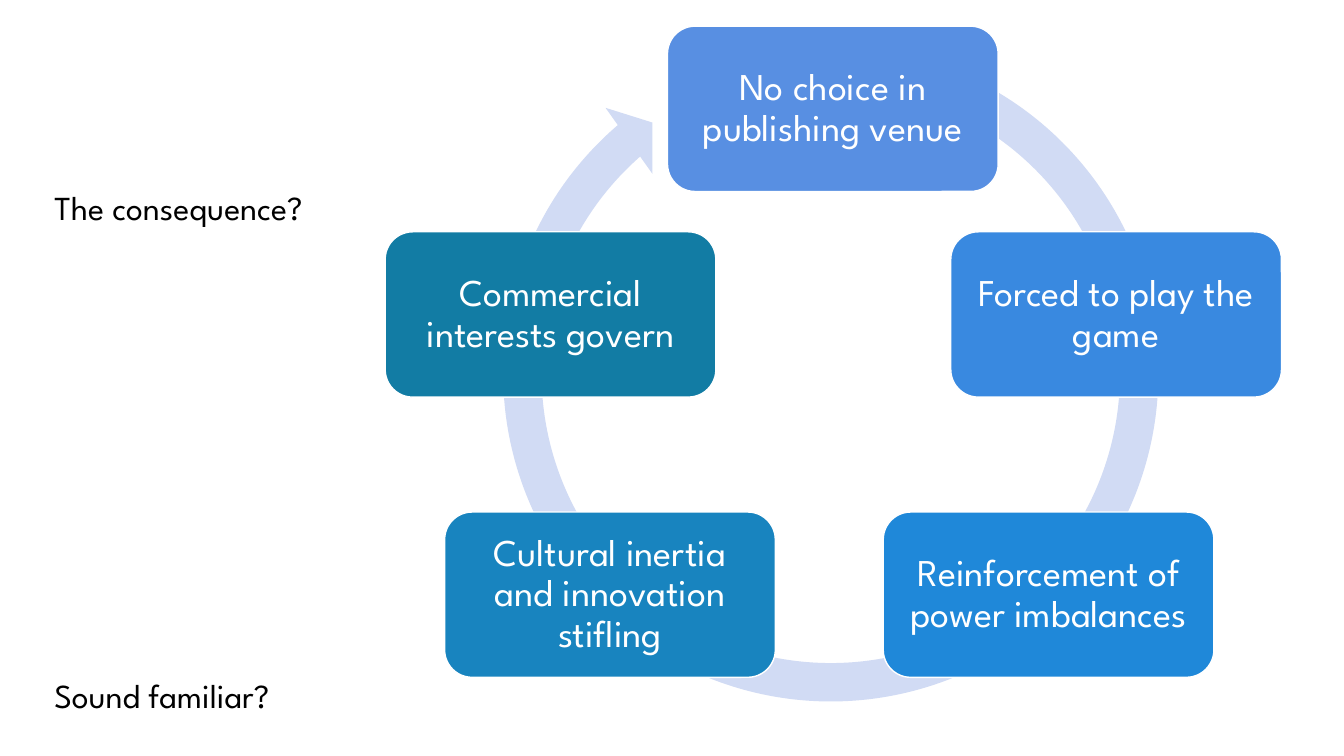
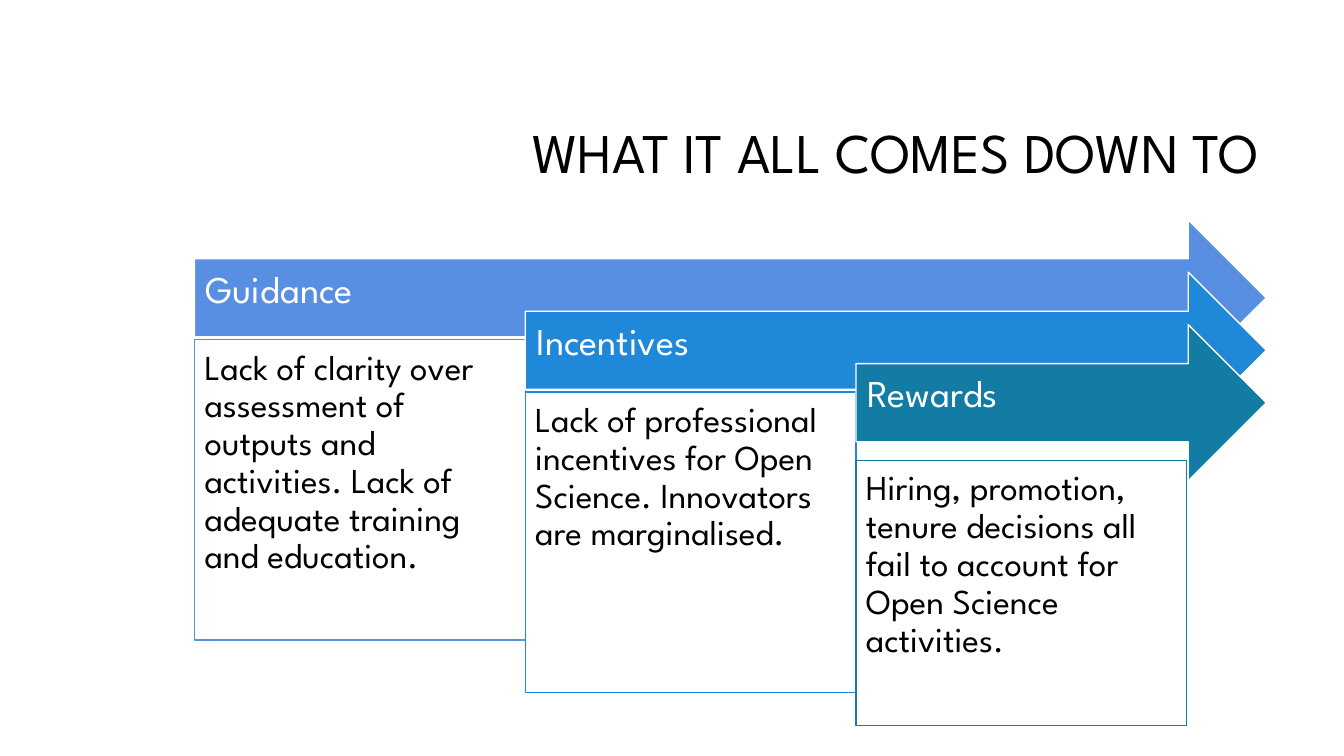
from typing import NamedTuple

from pptx import Presentation
from pptx.dml.color import RGBColor
from pptx.enum import shapes, text
from pptx.util import Inches, Pt

FONT = "League Spartan"
COLORS = {
    "white": "FFFFFF", "black": "000000", "ring": "D1DBF4",
    "periwinkle": "588FE2", "azure": "3989E0", "blue": "1F88D9",
    "ocean": "1884BF", "teal": "127CA4",
}
LEFT, CENTER, RIGHT = text.PP_ALIGN.LEFT, text.PP_ALIGN.CENTER, text.PP_ALIGN.RIGHT
TOP, MIDDLE = text.MSO_ANCHOR.TOP, text.MSO_ANCHOR.MIDDLE


class Box(NamedTuple):
    left: float
    top: float
    width: float
    height: float


class Step(NamedTuple):
    label: str
    left: float
    top: float
    color: str


class Stage(NamedTuple):
    label: str
    detail: str
    color: str
    gap: float
    height: float


def rgb(name: str) -> RGBColor:
    return RGBColor.from_string(COLORS[name])


def write(sp, content: str, size: float, color: str = "black", align=LEFT,
          anchor=TOP, spacing: float = 0.9,
          insets: tuple = (0.1, 0.05, 0.1, 0.05)) -> None:
    """Fill a shape or placeholder with one styled paragraph."""
    tf = sp.text_frame
    tf.text = content
    tf.word_wrap = True
    tf.auto_size = text.MSO_AUTO_SIZE.NONE
    tf.vertical_anchor = anchor
    tf.margin_left, tf.margin_top, tf.margin_right, tf.margin_bottom = map(Inches, insets)
    p = tf.paragraphs[0]
    p.alignment = align
    p.line_spacing = spacing
    r = p.runs[0]
    r.font.name = FONT
    r.font.size = Pt(size)
    r.font.color.rgb = rgb(color)


def add_shape(s, kind, box: Box, fill: str, line: str | None = None):
    sp = s.shapes.add_shape(kind, *map(Inches, box))
    sp.shadow.inherit = False
    sp.fill.solid()
    sp.fill.fore_color.rgb = rgb(fill)
    if line:
        sp.line.color.rgb = rgb(line)
        sp.line.width = Pt(1)
    else:
        sp.line.fill.background()
    return sp


def add_title(s, content: str) -> None:
    sp = s.shapes.title
    sp.left, sp.top, sp.width, sp.height = map(Inches, (3.17, 0.84, 9.42, 1.41))
    write(sp, content, 40, align=RIGHT, anchor=MIDDLE)


# Slide 1: vicious circle
STEPS = [
    Step("No choice in publishing venue", 6.62, 0.26, "periwinkle"),
    Step("Forced to play the game", 9.43, 2.3, "azure"),
    Step("Reinforcement of power imbalances", 8.76, 5.08, "blue"),
    Step("Cultural inertia and innovation stifling", 4.41, 5.08, "ocean"),
    Step("Commercial interests govern", 3.82, 2.3, "teal"),
]
REMARKS = [("The consequence?", 1.81), ("Sound familiar?", 6.65)]


def build_cycle(prs) -> None:
    s = prs.slides.add_slide(prs.slide_layouts[6])
    ring = add_shape(s, shapes.MSO_SHAPE.CIRCULAR_ARROW,
                     Box(4.78, 0.25, 6.92, 6.92), "ring")
    # Band width, head angle, end angle, start angle, head width;
    # angles are 60000ths of a degree, scaled by 100000
    per_degree = 0.6
    values = (5.5 / 100, 5.51 * per_degree, 229.13 * per_degree,
              290.05 * per_degree, 5.8 / 100)
    for i, value in enumerate(values):
        ring.adjustments[i] = value
    for step in STEPS:
        sp = add_shape(s, shapes.MSO_SHAPE.ROUNDED_RECTANGLE,
                       Box(step.left, step.top, 3.28, 1.64), step.color, "white")
        write(sp, step.label, 27, "white", CENTER, MIDDLE, insets=(0.11,) * 4)
    for remark, top in REMARKS:
        sp = s.shapes.add_textbox(*map(Inches, (0.44, top, 3.35, 0.5)))
        write(sp, remark, 24, spacing=1.0)


# Slide 2: staggered arrows with details
STAGES = [
    Stage("Guidance", "Lack of clarity over assessment of outputs and activities. "
          "Lack of adequate training and education.", "periwinkle", 1.19, 2.98),
    Stage("Incentives", "Lack of professional incentives for Open Science. "
          "Innovators are marginalised.", "blue", 1.19, 2.98),
    Stage("Rewards", "Hiring, promotion, tenure decisions all fail to account "
          "for Open Science activities.", "teal", 1.35, 2.63),
]
ARROW_LEFT, ARROW_TOP, ARROW_RIGHT = 1.93, 2.18, 12.56
COLUMN, DROP = 3.28, 0.52


def build_arrows(prs) -> None:
    s = prs.slides.add_slide(prs.slide_layouts[5])
    add_title(s, "WHAT IT ALL COMES DOWN TO")
    for i, stage in enumerate(STAGES):
        left, top = ARROW_LEFT + i * COLUMN, ARROW_TOP + i * DROP
        arrow = add_shape(s, shapes.MSO_SHAPE.RIGHT_ARROW,
                          Box(left, top, ARROW_RIGHT - left, 1.55), stage.color, "white")
        write(arrow, stage.label, 27, "white", anchor=MIDDLE,
              insets=(0.11, 0.11, 0.28, 0.25))
        panel = add_shape(s, shapes.MSO_SHAPE.RECTANGLE,
                          Box(left, top + stage.gap, COLUMN, stage.height),
                          "white", stage.color)
        write(panel, stage.detail, 25, insets=(0.1,) * 4)


def main() -> None:
    prs = Presentation()
    prs.slide_width, prs.slide_height = Inches(13.33), Inches(7.5)
    build_cycle(prs)
    build_arrows(prs)
    prs.save("out.pptx")


if __name__ == "__main__":
    main()
